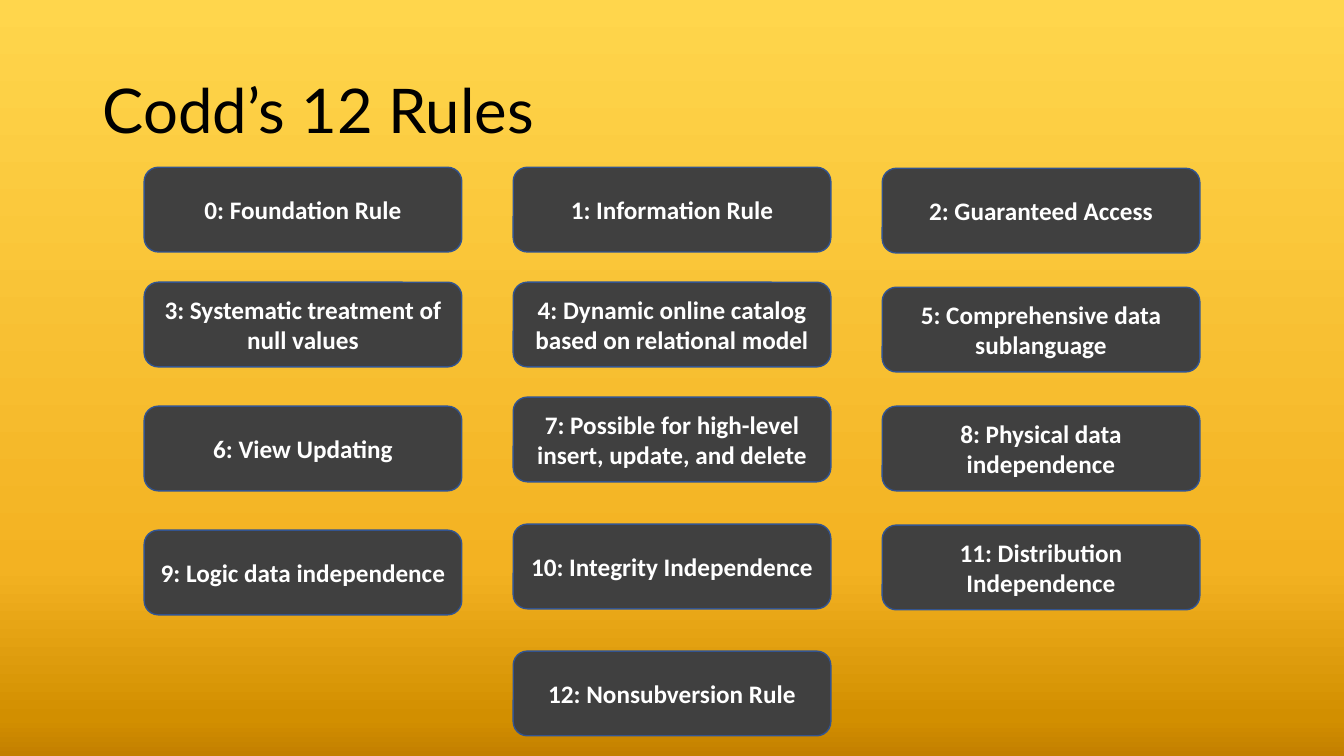
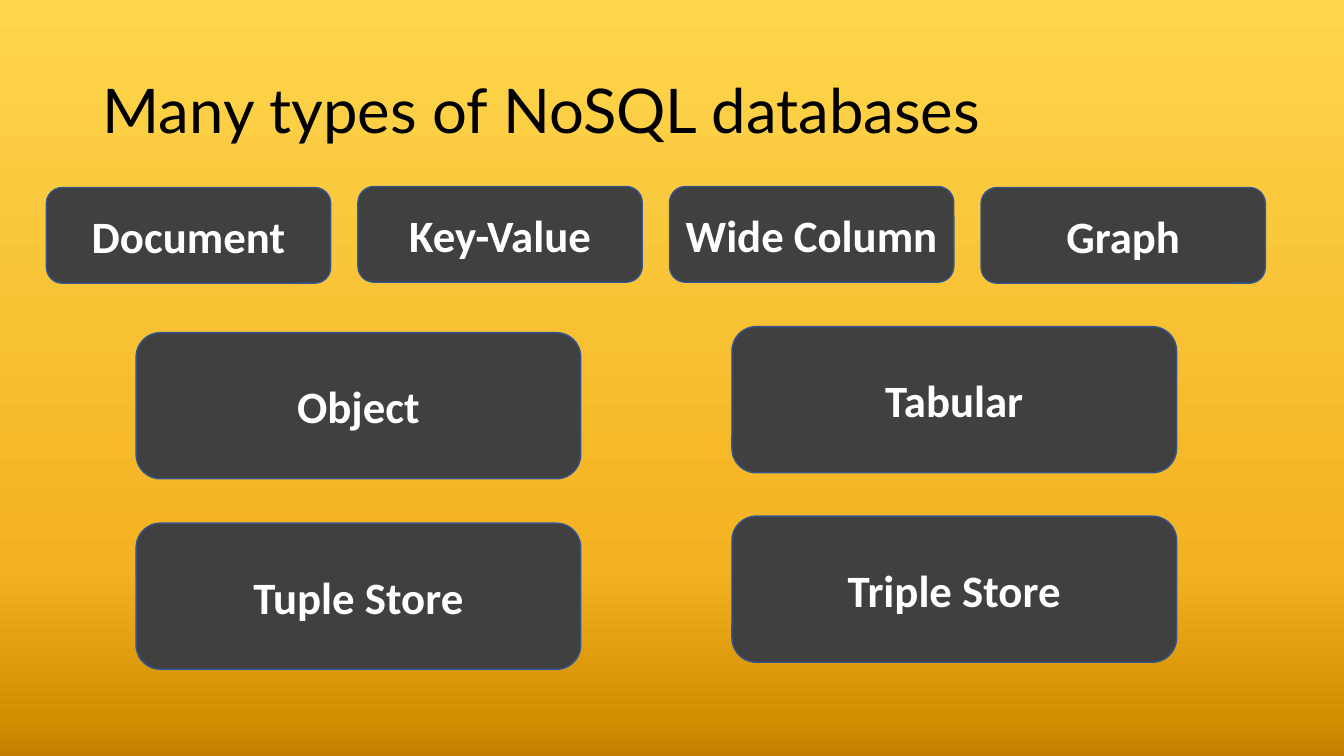
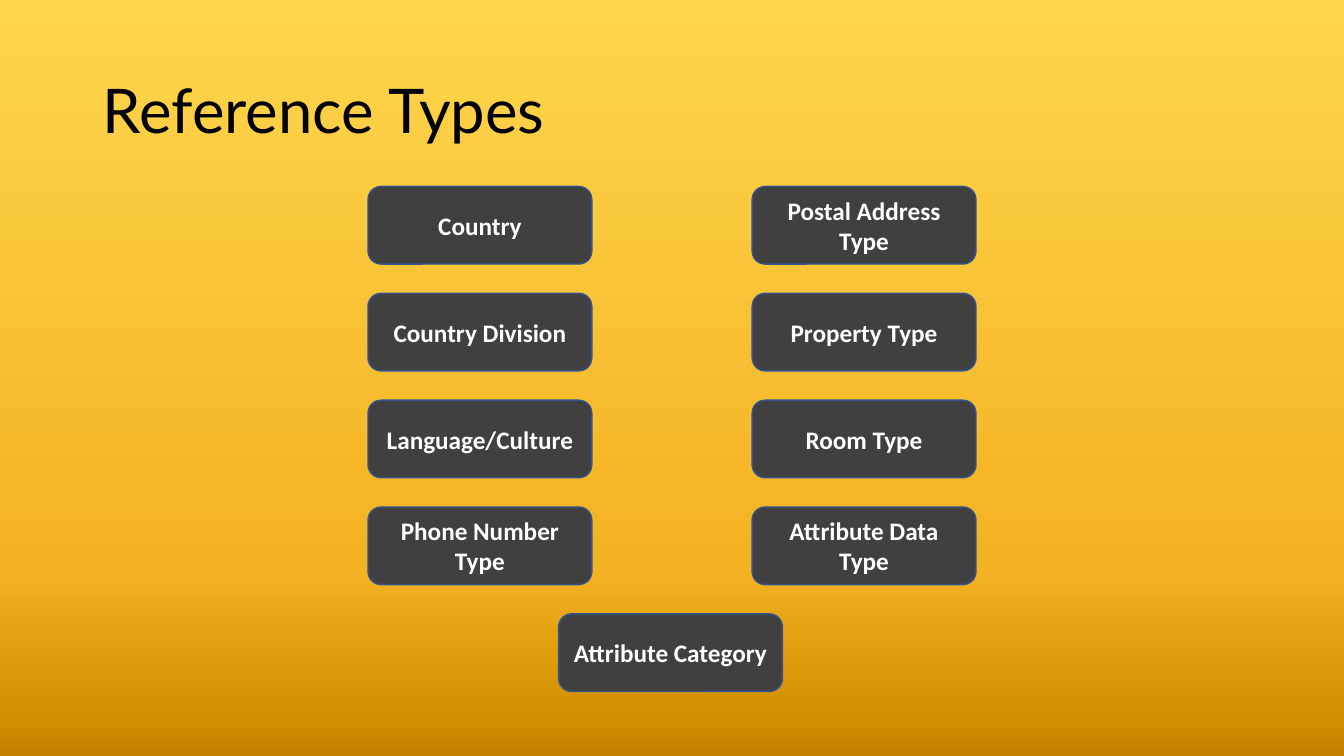
from lxml.etree import SubElement
from pptx import Presentation
from pptx.dml.color import RGBColor
from pptx.enum.shapes import MSO_SHAPE
from pptx.enum.text import MSO_ANCHOR, PP_ALIGN
from pptx.oxml.ns import qn
from pptx.util import Inches, Pt

# Shared look
HUES = {"ink": "000000", "box": "404040", "edge": "325491", "label": "FFFFFF"}
STOPS = {0: "FFD64C", 75: "F3B222", 95: "D28F00", 100: "C37F00"}
TITLE = {"name": "Lato", "size": Pt(44)}
LABEL = {"name": "Calibri", "bold": True}


def hue(key):
    return RGBColor.from_string(HUES[key])


def steps(start, pitch, count):
    return [start + pitch * i for i in range(count)]


def paint(master):
    """Give every slide the gold gradient."""
    fill = master.background.fill
    fill.gradient()
    fill.gradient_angle = 270
    ramp = master.element.find(".//" + qn("a:gsLst"))
    for stop in list(ramp):
        ramp.remove(stop)
    for share, tone in STOPS.items():
        stop = SubElement(ramp, qn("a:gs"), pos=str(share * 1000))
        SubElement(stop, qn("a:srgbClr"), val=tone)


def write(shape, text, style, tint, **layout):
    """Put one styled paragraph, centred in height, in a shape."""
    frame = shape.text_frame
    frame.word_wrap = True
    frame.vertical_anchor = MSO_ANCHOR.MIDDLE
    para = frame.paragraphs[0]
    for key, value in layout.items():
        setattr(para, key, value)
    run = para.add_run()
    run.text = text
    for key, value in style.items():
        setattr(run.font, key, value)
    run.font.color.rgb = hue(tint)


def page(deck, title):
    slide = deck.slides.add_slide(deck.slide_layouts[6])
    place = [Inches(n) for n in (0.92, 0.4, 11.5, 1.45)]
    write(slide.shapes.add_textbox(*place), title, TITLE, "ink",
          alignment=PP_ALIGN.LEFT, line_spacing=0.9)
    return slide


def box(slide, text, left, top, size, points):
    place = [Inches(n) for n in (left, top, *size)]
    shape = slide.shapes.add_shape(MSO_SHAPE.ROUNDED_RECTANGLE, *place)
    shape.shadow.inherit = False
    shape.fill.solid()
    shape.fill.fore_color.rgb = hue("box")
    shape.line.color.rgb = hue("edge")
    shape.line.width = Pt(1)
    write(shape, text, LABEL | {"size": Pt(points)}, "label",
          alignment=PP_ALIGN.CENTER)


def grid(slide, rows, lefts, tops, size, points):
    """Place rows of boxes; each column has its own list of tops."""
    for r, row in enumerate(rows):
        for text, left, drops in zip(row, lefts, tops):
            if text:
                box(slide, text, left, drops[r], size, points)


def rules(deck):
    slide = page(deck, "Codd’s 12 Rules")
    rows = [
        ("0: Foundation Rule", "1: Information Rule", "2: Guaranteed Access"),
        ("3: Systematic treatment of null values",
         "4: Dynamic online catalog based on relational model",
         "5: Comprehensive data sublanguage"),
        ("6: View Updating",
         "7: Possible for high-level insert, update, and delete",
         "8: Physical data independence"),
        ("9: Logic data independence", "10: Integrity Independence",
         "11: Distribution Independence"),
        (None, "12: Nonsubversion Rule", None),
    ]
    tops = [
        [1.66] + steps(2.8, 1.23, 3),
        steps(1.66, 1.14, 3) + steps(5.2, 1.26, 2),
        steps(1.67, 1.18, 4),
    ]
    grid(slide, rows, steps(1.43, 3.66, 3), tops, (3.15, 0.84), 18)


def stores(deck):
    slide = page(deck, "Many types of NoSQL databases")
    main_row = [("Document", "Key-Value", "Wide Column", "Graph")]
    grid(slide, main_row, steps(0.46, 3.09, 4),
         [[1.86], [1.85], [1.85], [1.86]], (2.82, 0.95), 32)
    rest = [("Object", "Tabular"), ("Tuple Store", "Triple Store")]
    grid(slide, rest, steps(1.35, 5.91, 2),
         [steps(3.3, 1.89, 2), steps(3.24, 1.88, 2)], (4.41, 1.45), 32)


def types(deck):
    slide = page(deck, "Reference Types")
    size = 2.22, 0.77
    rows = [
        ("Country", "Postal Address Type"),
        ("Country Division", "Property Type"),
        ("Language/Culture", "Room Type"),
        ("Phone Number Type", "Attribute Data Type"),
    ]
    *tops, last = steps(1.85, 1.06, 5)
    grid(slide, rows, steps(3.65, 3.81, 2), [tops, tops], size, 18)
    box(slide, "Attribute Category", 5.54, last, size, 18)


def main():
    deck = Presentation()
    deck.slide_width = Inches(13.33)
    deck.slide_height = Inches(7.5)
    paint(deck.slide_master)
    for build in (rules, stores, types):
        build(deck)
    deck.save("out.pptx")


if __name__ == "__main__":
    main()
